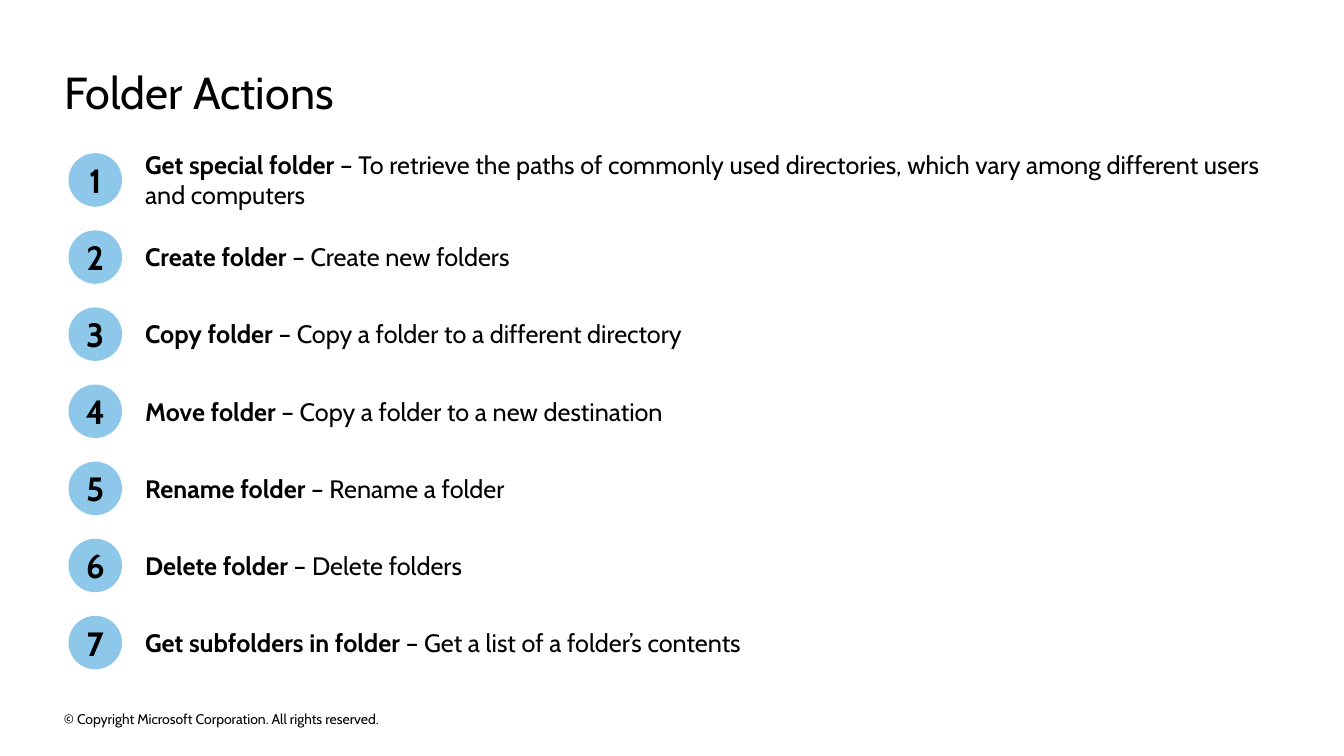
from pptx import Presentation
from pptx.dml.color import RGBColor
from pptx.enum.shapes import MSO_SHAPE as Shape
from pptx.enum.text import MSO_ANCHOR as Anchor, MSO_AUTO_SIZE as AutoSize, PP_ALIGN as Align
from pptx.util import Inches, Pt

BLACK = RGBColor(0x00, 0x00, 0x00)
SKY_BLUE = RGBColor(0x8D, 0xC8, 0xEB)

# Columns and rows are hundredths of the slide's width and height.
FIRST_CENTRE = 23.8
ROW_STEP = 10.2
LINE_ROWS = 4.07
BADGE_COLUMN, BADGE_COLUMNS, BADGE_ROWS = 5.1, 3.98, 7.07
TEXT_COLUMN, TEXT_COLUMNS = 10.8, 84.4

# Name, description and number of lines of each action
ACTIONS = [
    ("Get special folder", "To retrieve the paths of commonly used directories, "
     "which vary among different users and computers", 2),
    ("Create folder", "Create new folders", 1),
    ("Copy folder", "Copy a folder to a different directory", 1),
    ("Move folder", "Copy a folder to a new destination", 1),
    ("Rename folder", "Rename a folder", 1),
    ("Delete folder", "Delete folders", 1),
    ("Get subfolders in folder", "Get a list of a folder’s contents", 1),
]


class SlideBuilder:
    font_name = "Cabin"

    def __init__(self, deck):
        self.column = deck.slide_width / 100
        self.row = deck.slide_height / 100
        self.page = deck.slides.add_slide(deck.slide_layouts[5])

    def area(self, left, top, width, height):
        """Turn columns and rows into slide lengths."""
        return (round(left * self.column), round(top * self.row),
                round(width * self.column), round(height * self.row))

    def style(self, para, size, bold=None, align=Align.LEFT):
        para.alignment = align
        font = para.font
        font.name, font.size, font.bold = self.font_name, Pt(size), bold
        font.color.rgb = BLACK

    def set_frame(self, box, anchor, auto_size=AutoSize.NONE):
        """Remove the margins, wrap the text and return its first paragraph."""
        frame = box.text_frame
        frame.margin_left = frame.margin_top = frame.margin_right = frame.margin_bottom = 0
        frame.word_wrap = True
        frame.auto_size = auto_size
        frame.vertical_anchor = anchor
        return frame.paragraphs[0]

    def title(self, text, *place):
        box = self.page.shapes.title
        box.left, box.top, box.width, box.height = self.area(*place)
        para = self.set_frame(box, Anchor.TOP, AutoSize.SHAPE_TO_FIT_TEXT)
        para.text = text
        self.style(para, 32)

    def footer(self, text, *place):
        box = self.page.shapes.add_textbox(*self.area(*place))
        para = self.set_frame(box, Anchor.MIDDLE)
        para.text = text
        self.style(para, 10)

    def badge(self, number, centre):
        place = self.area(BADGE_COLUMN, centre - BADGE_ROWS / 2, BADGE_COLUMNS, BADGE_ROWS)
        circle = self.page.shapes.add_shape(Shape.OVAL, *place)
        circle.shadow.inherit = False
        circle.fill.solid()
        circle.fill.fore_color.rgb = SKY_BLUE
        circle.line.fill.background()
        para = self.set_frame(circle, Anchor.MIDDLE)
        para.text = str(number)
        self.style(para, 24, True, Align.CENTER)

    def action(self, name, description, lines, centre):
        height = lines * LINE_ROWS
        place = self.area(TEXT_COLUMN, centre - height / 2, TEXT_COLUMNS, height)
        box = self.page.shapes.add_textbox(*place)
        para = self.set_frame(box, Anchor.TOP, AutoSize.SHAPE_TO_FIT_TEXT)
        self.style(para, 18)
        for text, bold in ((f"{name} ", True), (f"– {description}", False)):
            span = para.add_run()
            span.text = text
            span.font.bold = bold


def main():
    deck = Presentation()
    deck.slide_width, deck.slide_height = Inches(13.33), Inches(7.5)
    builder = SlideBuilder(deck)
    builder.footer("© Copyright Microsoft Corporation. All rights reserved.",
                   4.75, 93.6, 34.05, 2.93)
    builder.title("Folder Actions", 4.8, 8.5, 90.3, 7.2)
    for index, (name, description, lines) in enumerate(ACTIONS):
        centre = FIRST_CENTRE + index * ROW_STEP
        builder.badge(index + 1, centre)
        builder.action(name, description, lines, centre)
    deck.save("out.pptx")


if __name__ == "__main__":
    main()
